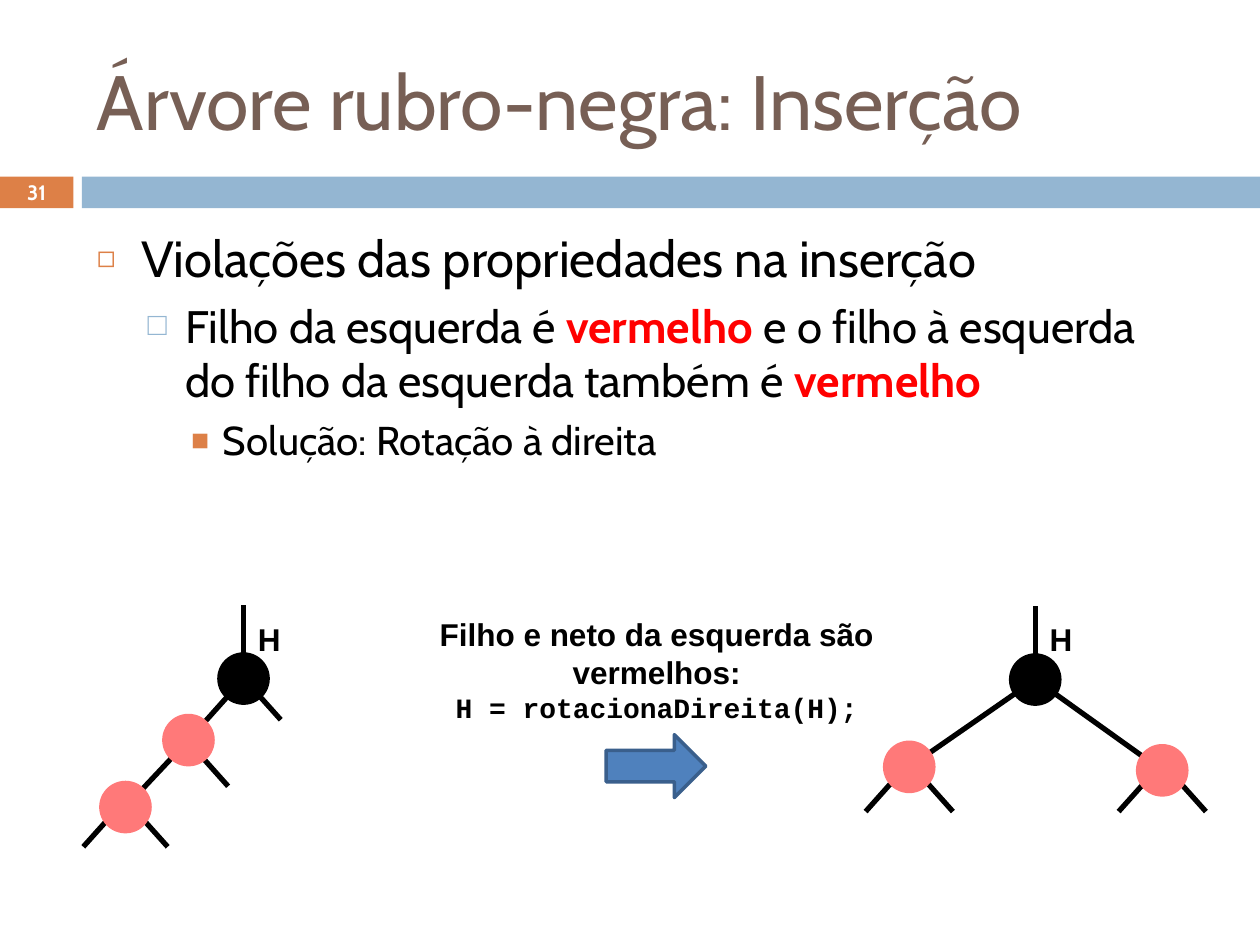
from dataclasses import dataclass
from math import hypot

from lxml.etree import SubElement
from pptx import Presentation
from pptx.dml.color import RGBColor
from pptx.enum.shapes import MSO_CONNECTOR, MSO_SHAPE
from pptx.enum.text import MSO_ANCHOR, MSO_AUTO_SIZE, PP_ALIGN
from pptx.oxml.ns import qn
from pptx.util import Cm, Pt

COLORS = {
    "orange": "DD8047", "blue": "94B6D2", "brown": "775F55",
    "white": "FFFFFF", "black": "000000", "red": "FF0000",
    "node": "FF7979", "arrow": "4F81BD", "arrow_edge": "3A5F8C",
}
DIAMETER = 0.99
STEM_LENGTH = 0.99
LEG_SPAN = (0.51, 0.57)


@dataclass(frozen=True)
class Node:
    x: float
    y: float
    color: str
    leg_end: tuple = (0, 0)
    leg_sides: tuple = ()


@dataclass(frozen=True)
class Level:
    indent: float
    hanging: float
    space: float
    size: float
    bullet: str
    bullet_color: str
    bullet_percent: int
    spans: tuple


LEVELS = (
    Level(0.89, 0.89, 0, 29, "◻", "orange", 60,
          (("Violações das propriedades na inserção", False),)),
    Level(1.78, 0.76, 5.5, 26, "□", "blue", 70,
          (("Filho da esquerda é ", False), ("vermelho ", True),
           ("e o filho à esquerda do filho da esquerda também é ", False),
           ("vermelho", True))),
    Level(2.54, 0.64, 5, 23, "■", "orange", 75,
          (("Solução: Rotação à direita", False),)),
)

BEFORE = (
    Node(4.91, 13.68, "black", (0.75, 0.83), (1,)),
    Node(3.8, 14.92, "node", (0.8, 0.93), (1,)),
    Node(2.53, 16.27, "node", (0.85, 0.8), (-1, 1)),
)
AFTER = (
    Node(20.87, 13.7, "black"),
    Node(18.33, 15.46, "node", (0.88, 0.9), (-1, 1)),
    Node(23.43, 15.53, "node", (0.88, 0.83), (-1, 1)),
)


def rgb(name: str) -> RGBColor:
    return RGBColor.from_string(COLORS[name])


def format_font(font, color: str, **values) -> None:
    for name, value in values.items():
        setattr(font, name, value)
    font.color.rgb = rgb(color)


def place(shape, left: float, top: float, width: float, height: float) -> None:
    values = {"left": left, "top": top, "width": width, "height": height}
    for name, value in values.items():
        setattr(shape, name, Cm(value))


def add_figure(page, kind, bounds: tuple, fill: str, edge: str | None = None):
    shape = page.shapes.add_shape(kind, *map(Cm, bounds))
    shape.shadow.inherit = False
    shape.fill.solid()
    shape.fill.fore_color.rgb = rgb(fill)
    if edge:
        shape.line.color.rgb = rgb(edge)
        shape.line.width = Pt(2)
    else:
        shape.line.fill.background()
    return shape


def add_line(page, x1: float, y1: float, x2: float, y2: float):
    line = page.shapes.add_connector(
        MSO_CONNECTOR.STRAIGHT, Cm(x1), Cm(y1), Cm(x2), Cm(y2))
    line.line.color.rgb = rgb("black")
    line.line.width = Pt(3)
    SubElement(line._element.spPr, qn("a:effectLst"))
    return line


def add_label(page, bounds: tuple, lines: tuple, color: str, anchor=MSO_ANCHOR.TOP) -> None:
    box = page.shapes.add_textbox(*map(Cm, bounds))
    frame = box.text_frame
    frame.word_wrap = True
    frame.vertical_anchor = anchor
    for index, (text, font_name, size) in enumerate(lines):
        para = frame.add_paragraph() if index else frame.paragraphs[0]
        para.alignment = PP_ALIGN.CENTER
        span = para.add_run()
        span.text = text
        format_font(span.font, color, name=font_name, size=Pt(size), bold=True)


def add_legs(page, node: Node) -> None:
    end_x, end_y = node.leg_end
    for side in node.leg_sides:
        add_line(page,
                 node.x + side * (end_x - LEG_SPAN[0]), node.y + end_y - LEG_SPAN[1],
                 node.x + side * end_x, node.y + end_y)


def add_edge(page, child: Node, parent: Node) -> None:
    run, rise = parent.x - child.x, parent.y - child.y
    scale = DIAMETER / 2 / hypot(run, rise)
    add_line(page, child.x + run * scale, child.y + rise * scale,
             parent.x - run * scale, parent.y - rise * scale)


def add_tree(page, nodes: tuple, edges: tuple) -> None:
    for node in nodes:
        add_legs(page, node)
    for child, parent in edges:
        add_edge(page, nodes[child], nodes[parent])
    circles = [
        add_figure(page, MSO_SHAPE.OVAL,
                   (node.x - DIAMETER / 2, node.y - DIAMETER / 2, DIAMETER, DIAMETER),
                   node.color, node.color)
        for node in nodes
    ]
    root = nodes[0]
    top = root.y - DIAMETER / 2
    stem = add_line(page, root.x, top, root.x, top - STEM_LENGTH)
    stem.begin_connect(circles[0], 0)
    add_label(page, (root.x - 0.93, 12.37, 2.9, 1.02), (("H", "Arial", 18),), "black")


def add_bullet(para, level: Level) -> None:
    properties = para._p.get_or_add_pPr()
    properties.set("marL", str(Cm(level.indent)))
    properties.set("indent", str(-Cm(level.hanging)))
    color = SubElement(properties, qn("a:buClr"))
    SubElement(color, qn("a:srgbClr"), val=COLORS[level.bullet_color])
    SubElement(properties, qn("a:buSzPct"), val=str(level.bullet_percent * 1000))
    SubElement(properties, qn("a:buChar"), char=level.bullet)


def fill_title(title) -> None:
    place(title, 1.7, 0.64, 22.66, 2.74)
    title.text_frame.text = "Árvore rubro-negra: Inserção"
    title.text_frame.auto_size = MSO_AUTO_SIZE.NONE
    title.text_frame.vertical_anchor = MSO_ANCHOR.MIDDLE
    para = title.text_frame.paragraphs[0]
    para.alignment = PP_ALIGN.LEFT
    format_font(para.runs[0].font, "brown", name="Cabin", size=Pt(44))


def fill_body(body) -> None:
    place(body, 1.7, 4.45, 22.66, 12.5)
    frame = body.text_frame
    frame.auto_size = MSO_AUTO_SIZE.NONE
    for index, level in enumerate(LEVELS):
        para = frame.add_paragraph() if index else frame.paragraphs[0]
        para.level = index
        add_bullet(para, level)
        para.space_before = Pt(level.space)
        for text, marked in level.spans:
            span = para.add_run()
            span.text = text
            format_font(span.font, "red" if marked else "black",
                        name="Cabin", size=Pt(level.size), bold=marked)


def main() -> None:
    deck = Presentation()
    deck.slide_width, deck.slide_height = Cm(25.4), Cm(19.05)
    page = deck.slides.add_slide(deck.slide_layouts[1])
    fill_title(page.shapes.title)
    fill_body(page.placeholders[1])
    add_figure(page, MSO_SHAPE.RECTANGLE, (0, 3.56, 1.48, 0.64), "orange")
    add_figure(page, MSO_SHAPE.RECTANGLE, (1.65, 3.56, 23.75, 0.64), "blue")
    add_label(page, (0, 3.53, 1.48, 0.69), (("31", "Cabin", 11.9),), "white", MSO_ANCHOR.MIDDLE)
    add_tree(page, BEFORE, ((1, 0), (2, 1)))
    add_figure(page, MSO_SHAPE.RIGHT_ARROW, (12.22, 14.81, 2.01, 1.27), "arrow", "arrow_edge")
    add_tree(page, AFTER, ((1, 0), (2, 0)))
    add_label(page, (8.31, 12.27, 9.86, 2.49),
              (("Filho e neto da esquerda são vermelhos:", "Arial", 18),
               ("H = rotacionaDireita(H);", "Courier New", 16)), "black")
    deck.save("out.pptx")


if __name__ == "__main__":
    main()
